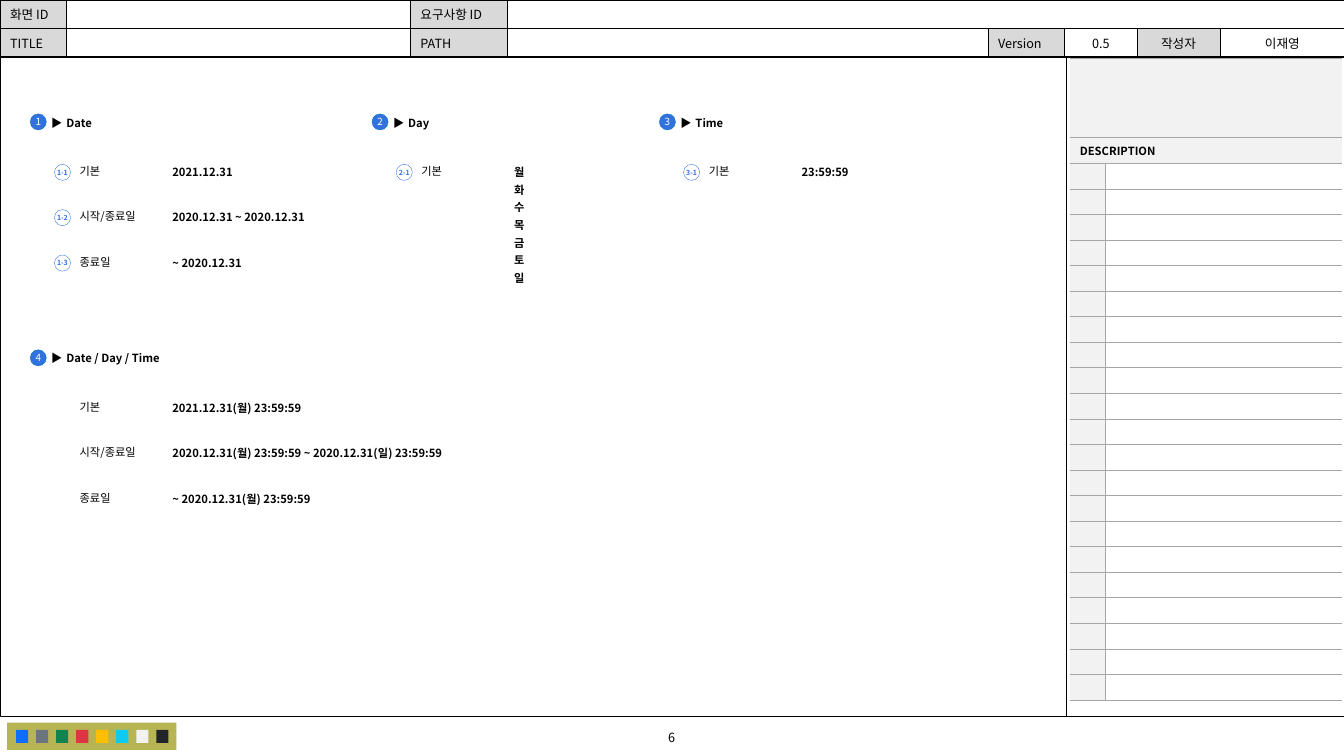
from lxml.etree import SubElement
from pptx import Presentation
from pptx.dml.color import RGBColor
from pptx.enum.shapes import MSO_CONNECTOR, MSO_SHAPE
from pptx.enum.text import MSO_ANCHOR, PP_ALIGN
from pptx.oxml.ns import qn
from pptx.util import Inches, Pt

FONT = "Noto Sans CJK KR"
NO_GRID_STYLE = "{2D5ABB26-0587-4C30-8999-92F81FD0307C}"
COLORS = {
    "black": "000000", "white": "FFFFFF", "label": "D9D9D9", "pale": "F2F2F2",
    "rule": "A6A6A6", "blue": "3272DE", "blue_line": "0070C0", "olive": "B7B553",
}
SWATCHES = ["0D6EFD", "6C757D", "10834E", "DC3545", "FFBE00", "0DCAF0", "F2F2F2", "212529"]


def rgb(name):
    return RGBColor.from_string(COLORS.get(name, name))


def write(frame, lines, size, color="black", bold=False, align=PP_ALIGN.LEFT,
          exact=True, gap=0, tab=None):
    """Fill a text frame, one paragraph per line."""
    for index, line in enumerate(lines):
        para = frame.paragraphs[0] if index == 0 else frame.add_paragraph()
        para.alignment = align
        if exact:
            para.line_spacing = Pt(size * 1.2)
        if index and gap:
            para.space_before = Pt(gap)
        if tab:
            stops = SubElement(para._p.get_or_add_pPr(), qn("a:tabLst"))
            SubElement(stops, qn("a:tab"), pos=str(Inches(tab)), algn="l")
        if not line:
            SubElement(para._p, qn("a:endParaRPr"), sz=str(size * 100))
            continue
        span = para.add_run()
        span.text = line
        for key, value in {"name": FONT, "size": Pt(size), "bold": bold}.items():
            setattr(span.font, key, value)
        span.font.color.rgb = rgb(color)
        SubElement(span._r.get_or_add_rPr(), qn("a:ea"), typeface=FONT)


def set_margins(frame, across, down):
    for side, size in {"left": across, "right": across, "top": down, "bottom": down}.items():
        setattr(frame, f"margin_{side}", Inches(size))


def add_text(page, left, top, width, height, lines, size, inset=(0, 0), **style):
    box = page.shapes.add_textbox(Inches(left), Inches(top), Inches(width), Inches(height))
    box.text_frame.word_wrap = True
    set_margins(box.text_frame, *inset)
    write(box.text_frame, lines, size, **style)


def add_shape(parent, kind, left, top, width, height, fill=None, line=None):
    shape = parent.shapes.add_shape(kind, Inches(left), Inches(top), Inches(width), Inches(height))
    shape.shadow.inherit = False
    if fill:
        shape.fill.solid()
        shape.fill.fore_color.rgb = rgb(fill)
    else:
        shape.fill.background()
    if line:
        shape.line.color.rgb = rgb(line)
        shape.line.width = Pt(0.25)
    else:
        shape.line.fill.background()
    return shape


def add_grid(page, left, top, widths, heights):
    frame = page.shapes.add_table(len(heights), len(widths), Inches(left), Inches(top),
                                  Inches(sum(widths)), Inches(sum(heights)))
    table = frame.table
    table._tbl.tblPr.find(qn("a:tableStyleId")).text = NO_GRID_STYLE
    table.first_row = table.horz_banding = False
    for column, width in zip(table.columns, widths):
        column.width = Inches(width)
    for row, height in zip(table.rows, heights):
        row.height = Inches(height)
    return table


def format_cell(cell, text, size, sides, line, fill, **style):
    properties = cell._tc.get_or_add_tcPr()
    for side in sides:
        border = SubElement(properties, qn(f"a:ln{side}"), w=str(Pt(0.5)))
        SubElement(SubElement(border, qn("a:solidFill")), qn("a:srgbClr"), val=COLORS[line])
    if fill:
        cell.fill.solid()
        cell.fill.fore_color.rgb = rgb(fill)
    else:
        cell.fill.background()
    cell.vertical_anchor = MSO_ANCHOR.MIDDLE
    write(cell.text_frame, [text], size, exact=False, **style)


# Screen information across the top
def add_header(page, left, top):
    rows = [["화면 ID", "", "요구사항 ID", "", "", "", "", ""],
            ["TITLE", "", "PATH", "", "Version", "0.5", "작성자", "이재영"]]
    widths = [0.66, 3.41, 0.96, 4.77, 0.76, 0.72, 0.82, 1.24]
    table = add_grid(page, left, top, widths, [0.28] * 2)
    for row, texts in enumerate(rows):
        for column, text in enumerate(texts):
            shaded = text and text not in ("0.5", "이재영")
            format_cell(table.cell(row, column), text, 9, "LRTB", "black",
                        "label" if shaded else "white",
                        align=PP_ALIGN.CENTER if column > 4 else PP_ALIGN.LEFT)
    table.cell(0, 3).merge(table.cell(0, 7))


# Body outline and the divider before the description column
def add_frame(page, left, top, width, height, divider):
    add_shape(page, MSO_SHAPE.RECTANGLE, left, top, width, height, line="black")
    line = page.shapes.add_connector(MSO_CONNECTOR.STRAIGHT, Inches(divider), Inches(top),
                                     Inches(divider), Inches(top + height))
    line.line.color.rgb = rgb("black")
    line.line.width = Pt(0.5)
    SubElement(line._element.spPr, qn("a:effectLst"))


# Palette and page number along the bottom
def add_footer(page, left, top):
    palette = page.shapes.add_group_shape()
    add_shape(palette, MSO_SHAPE.RECTANGLE, left, top, 1.68, 0.27, "olive")
    for index, color in enumerate(SWATCHES):
        add_shape(palette, MSO_SHAPE.RECTANGLE, left + 0.09 + index * 1.39 / 7, top + 0.07,
                  0.12, 0.13, color)
    add_text(page, left + 5.3, top + 0.02, 2.58, 0.25, ["6"], 9, (0.1, 0.05),
             align=PP_ALIGN.CENTER)


# Description column on the right
def add_description(page, left, top, height):
    count = 21
    heads = [0.78, 0.26]
    heights = heads + [(height - sum(heads)) / count] * count
    table = add_grid(page, left, top, [0.35, 2.35], heights)
    for row in range(len(heights)):
        head = row < len(heads)
        for column in range(2):
            text = "DESCRIPTION" if (row, column) == (1, 0) else ""
            sides = "TB" if head else "LTB" if column else "RTB"
            format_cell(table.cell(row, column), text, 8, sides, "rule",
                        "pale" if head or column == 0 else None, bold=True)
        if head:
            table.cell(row, 0).merge(table.cell(row, 1))


def add_badge(page, left, top, text, size, fill, line, color, bold):
    badge = add_shape(page, MSO_SHAPE.OVAL, left, top, 0.16, 0.16, fill, line)
    badge.text_frame.word_wrap = False
    badge.text_frame.vertical_anchor = MSO_ANCHOR.MIDDLE
    set_margins(badge.text_frame, 0, 0.05)
    write(badge.text_frame, [text], size, color, bold, PP_ALIGN.CENTER)


# Numbered section: heading, then label and value rows
def add_section(page, left, top, number, title, rows, numbered=True):
    add_text(page, left + 0.11, top - 0.03, 1.36, 0.24, [f"▶\t{title}"], 8, (0.1, 0.05),
             bold=True, tab=0.15)
    add_badge(page, left, top, str(number), 7, "blue", "blue_line", "white", False)
    for index, (label, values, width) in enumerate(rows):
        y = top + 0.5 + 0.45 * index
        add_text(page, left + 0.49, y, 0.76, 0.13, [label], 8)
        add_text(page, left + 1.41, y + 0.01, width, 0.17 * len(values) - 0.04, values, 8,
                 bold=True, gap=3)
        if numbered:
            add_badge(page, left + 0.24, y, f"{number}-{index + 1}", 5,
                      "white", "blue", "blue", True)


def main():
    deck = Presentation()
    deck.slide_width, deck.slide_height = Inches(13.33), Inches(7.5)
    page = deck.slides.add_slide(deck.slide_layouts[6])
    add_header(page, 0, 0)
    add_frame(page, 0, 0.56, 13.33, 6.55, 10.58)
    add_footer(page, 0.07, 7.17)
    add_description(page, 10.61, 0.58, 6.37)
    add_section(page, 0.3, 1.13, 1, "Date", [
        ("기본", ["2021.12.31"], 1.4),
        ("시작/종료일", ["2020.12.31 ~ 2020.12.31"], 1.4),
        ("종료일", ["~ 2020.12.31"], 0.76)])
    add_section(page, 3.69, 1.13, 2, "Day", [("기본", list("월화수목금토일"), 0.43)])
    add_section(page, 6.54, 1.13, 3, "Time", [("기본", ["23:59:59"], 0.54)])
    add_section(page, 0.3, 3.47, 4, "Date / Day / Time", [
        ("기본", ["2021.12.31(월) 23:59:59"], 1.5),
        ("시작/종료일", ["2020.12.31(월) 23:59:59 ~ 2020.12.31(일) 23:59:59"], 2.99),
        ("종료일", ["~ 2020.12.31(월) 23:59:59"], 1.65)], numbered=False)
    deck.save("out.pptx")


if __name__ == "__main__":
    main()
